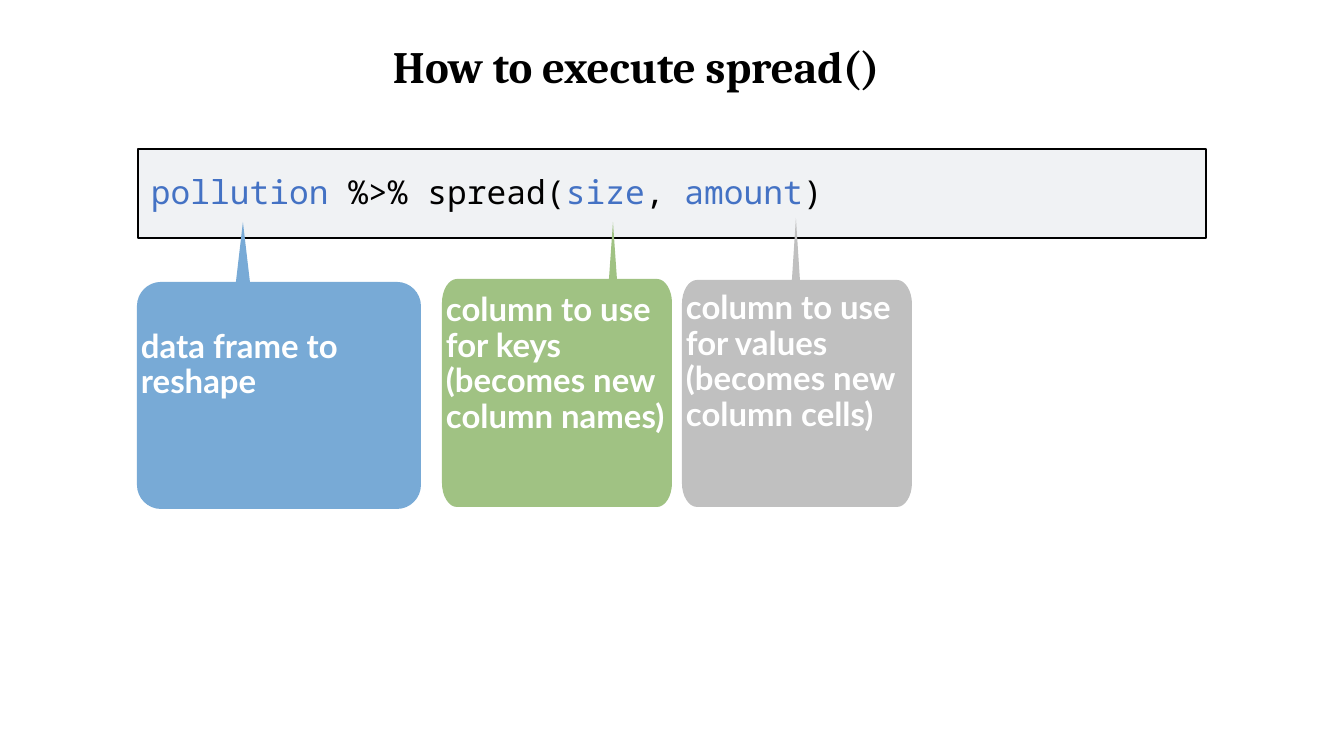
from lxml import etree
from pptx import Presentation
from pptx.dml.color import RGBColor
from pptx.enum.shapes import MSO_SHAPE
from pptx.enum.text import MSO_ANCHOR as Anchor, MSO_AUTO_SIZE as AutoSize, PP_ALIGN as Align
from pptx.oxml.ns import qn
from pptx.util import Emu, Pt

SLIDE_W, SLIDE_H = 1344, 756
EMU_PER_PX = 12192000 / SLIDE_W
ARC = 0.55  # control point distance for a quarter ellipse

BLACK = RGBColor(0x00, 0x00, 0x00)
WHITE = RGBColor(0xFF, 0xFF, 0xFF)
PANEL = RGBColor(0xF0, 0xF2, 0xF4)
ARGUMENT = RGBColor(0x44, 0x72, 0xC4)
GREEN = RGBColor(0xA0, 0xC2, 0x83)
BLUE = RGBColor(0x78, 0xAA, 0xD6)
GRAY = RGBColor(0xC0, 0xC0, 0xC0)


def px(length):
    return Emu(round(length * EMU_PER_PX))


def write(paragraph, text, font="Lato", size=23.5, color=WHITE, bold=False):
    run = paragraph.add_run()
    run.text = text
    run.font.name = font
    run.font.size = Pt(size)
    run.font.bold = bold
    run.font.color.rgb = color


def round_corners(outline):
    """Turn each corner cut (every second line from the third) into a curve."""
    lines = list(outline.element.iter(qn("a:lnTo")))
    for number, cut in enumerate(lines[2:9:2]):
        x0, y0 = (int(lines[2 * number + 1][0].get(axis)) for axis in "xy")
        x1, y1 = (int(cut[0].get(axis)) for axis in "xy")
        corner_x, corner_y = (x0, y1) if number % 2 else (x1, y0)
        if number % 2 == 0:
            corner_x, corner_y = x1, y0
        cut.tag = qn("a:cubicBezTo")
        for position, (x, y) in enumerate([(x0, y0), (x1, y1)]):
            control = etree.Element(qn("a:pt"))
            control.set("x", str(round(x + ARC * (corner_x - x))))
            control.set("y", str(round(y + ARC * (corner_y - y))))
            cut.insert(position, control)


class SlideBuilder:
    """Holds the fonts and the slide being drawn."""

    title_font, code_font, label_font = "Cambria", "Noto Sans Mono", "Lato"

    def __init__(self, slide):
        self.slide = slide

    def frame(self, shape, inset, anchor):
        frame = shape.text_frame
        frame.word_wrap = True
        frame.auto_size = AutoSize.NONE
        frame.vertical_anchor = anchor
        frame.margin_left = frame.margin_right = px(inset)
        frame.margin_top = frame.margin_bottom = px(inset)
        return frame

    def title(self, text, *box):
        title = self.slide.shapes.title
        title.left, title.top, title.width, title.height = map(px, box)
        heading = self.frame(title, 3, Anchor.MIDDLE).paragraphs[0]
        heading.alignment = Align.LEFT
        write(heading, text, font=self.title_font, size=32, color=BLACK, bold=True)

    def panel(self, *box):
        panel = self.slide.shapes.add_shape(MSO_SHAPE.RECTANGLE, *map(px, box))
        panel.shadow.inherit = False
        panel.fill.solid()
        panel.fill.fore_color.rgb = PANEL
        panel.line.color.rgb = BLACK
        panel.line.width = Pt(1)

    def code(self, pieces, *box):
        code_box = self.slide.shapes.add_textbox(*map(px, box))
        code_line = self.frame(code_box, 3, Anchor.TOP).paragraphs[0]
        for text, color in pieces:
            write(code_line, text, font=self.code_font, color=color)

    def callout(self, lines, color, box, tip, radii, half_base):
        """Rounded box with a thin pointer rising from its top edge to tip."""
        left, top, width, height = box
        rx, ry = radii
        right, bottom = left + width, top + height
        outline = [
            (tip[0] - half_base, top),
            (left + rx, top), (left, top + ry),
            (left, bottom - ry), (left + rx, bottom),
            (right - rx, bottom), (right, bottom - ry),
            (right, top + ry), (right - rx, top),
            (tip[0] + half_base, top),
            tip,
        ]
        builder = self.slide.shapes.build_freeform(px(tip[0]), px(tip[1]))
        builder.add_line_segments([(px(x), px(y)) for x, y in outline], close=True)
        callout = builder.convert_to_shape()
        round_corners(callout)
        callout.shadow.inherit = False
        callout.fill.solid()
        callout.fill.fore_color.rgb = color
        callout.line.fill.background()

        frame = self.frame(callout, 4, Anchor.MIDDLE)
        for number, text in enumerate(lines):
            label = frame.add_paragraph() if number else frame.paragraphs[0]
            label.alignment = Align.LEFT
            label.line_spacing = 0.9
            write(label, text, font=self.label_font, bold=True)


def main():
    deck = Presentation()
    deck.slide_width, deck.slide_height = px(SLIDE_W), px(SLIDE_H)
    title_only = deck.slide_layouts[5]
    page = SlideBuilder(deck.slides.add_slide(title_only))

    page.title("How to execute spread()", 390, 0, 570, 132)

    # Code line on its panel
    page.panel(138, 149, 1068, 89)
    call = [
        ("pollution", ARGUMENT),
        (" %>% spread(", BLACK),
        ("size", ARGUMENT),
        (", ", BLACK),
        ("amount", ARGUMENT),
        (")", BLACK),
    ]
    page.code(call, 148, 169, 968, 79)

    # One callout for each argument
    page.callout(["column to use for keys (becomes new", "column names)"], GREEN,
                 (442, 279, 230, 228), tip=(613, 222), radii=(15, 24), half_base=4)
    page.callout(["data frame to reshape"], BLUE, (137, 282, 284, 227),
                 tip=(243, 222), radii=(24, 24), half_base=7)
    page.callout(["column to use for values", "(becomes new", "column cells)"], GRAY,
                 (682, 280, 230, 227), tip=(796, 218), radii=(15, 24), half_base=4)

    deck.save("out.pptx")


if __name__ == "__main__":
    main()
